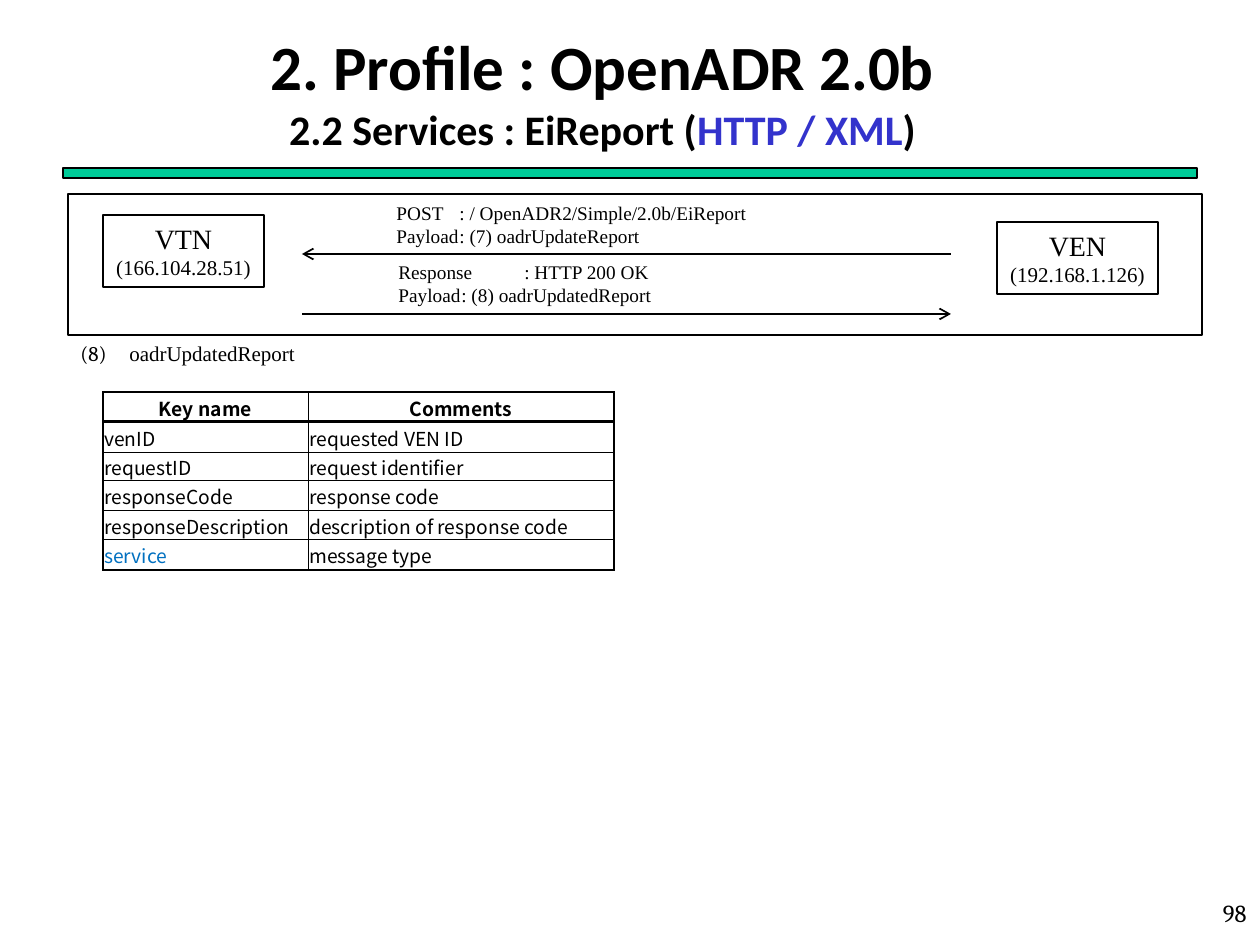
from lxml import etree
from pptx import Presentation
from pptx import util as u
from pptx.dml.color import RGBColor
from pptx.enum import shapes, text
from pptx.oxml import ns

PX = 914400 // 126  # one px in EMU
COLORS = {"ink": "000000", "paper": "FFFFFF", "rule": "00CC99",
          "accent": "3333CC", "service": "0070C0"}
SERIF, TABLE_FONT = "Times New Roman", "Noto Sans CJK KR"

# Content: a paragraph is a list of (text, format) runs
TITLE = [
    [("2. Profile : OpenADR 2.0b", {"size": 36})],
    [("2.2 Services : EiReport (", {}), ("HTTP / XML", {"color": "accent"}), (")", {})],
]
NODES = [  # name, address, left, top
    ("VTN", "(166.104.28.51)", 103, 215),
    ("VEN", "(192.168.1.126)", 997, 222),
]
MESSAGES = [  # lines, left, top, width
    (["POST\t: / OpenADR2/Simple/2.0b/EiReport", "Payload\t: (7) oadrUpdateReport"], 384, 195, 446),
    (["Response\t: HTTP 200 OK", "Payload\t: (8) oadrUpdatedReport"], 386, 254, 343),
]
ARROWS = [(302, 951, 254), (951, 302, 314)]  # head x, tail x, y
CAPTION = [[("(8)\t", {"font": "Cambria"}), ("oadrUpdatedReport", {})]]
CAPTION_TAB = 49
KEYS = [
    ("Key name", "Comments"),
    ("venID", "requested VEN ID"),
    ("requestID", "request identifier"),
    ("responseCode", "response code"),
    ("responseDescription", "description of response code"),
    ("service", "message type"),
]
COL_WIDTHS, ROW_HEIGHTS = (205, 306), (30, 30, 29, 30, 29, 30)


def px(*values):
    return [u.Emu(v * PX) for v in values]


def rgb(name):
    return RGBColor.from_string(COLORS[name])


def write(frame, paragraphs, size=12, font=SERIF, color="ink", bold=False,
          align="LEFT", anchor="TOP", wrap=True, tab=None):
    frame.word_wrap = wrap
    frame.vertical_anchor = text.MSO_ANCHOR[anchor]
    for i, runs in enumerate(paragraphs):
        para = frame.paragraphs[0] if i == 0 else frame.add_paragraph()
        para.alignment = text.PP_ALIGN[align]
        if tab:
            stops = etree.SubElement(para._p.get_or_add_pPr(), ns.qn("a:tabLst"))
            etree.SubElement(stops, ns.qn("a:tab"), pos=str(tab * PX), algn="l")
        for words, override in runs:
            look = {"size": size, "font": font, "color": color, **override}
            run = para.add_run()
            run.text = words
            run.font.size = u.Pt(look["size"])
            run.font.name = look["font"]
            run.font.bold = bold
            run.font.color.rgb = rgb(look["color"])


def add_text(box, paragraphs, **look):
    write(slide.shapes.add_textbox(*px(*box)).text_frame, paragraphs, **look)


def add_box(box, fill, line):
    shape = slide.shapes.add_shape(shapes.MSO_SHAPE.RECTANGLE, *px(*box))
    shape.shadow.inherit = False
    shape.fill.solid()
    shape.fill.fore_color.rgb = rgb(fill)
    shape.line.color.rgb = rgb("ink")
    shape.line.width = u.Pt(line)
    return shape


def add_arrow(head, tail, y):
    arrow = slide.shapes.add_connector(shapes.MSO_CONNECTOR.STRAIGHT, *px(head, y, tail, y))
    arrow.line.color.rgb = rgb("ink")
    arrow.line.width = u.Pt(1)
    etree.SubElement(arrow.line._get_or_add_ln(), ns.qn("a:headEnd"), type="arrow")
    etree.SubElement(arrow._element.spPr, ns.qn("a:effectLst"))


def set_borders(cell, widths):
    props = cell._tc.get_or_add_tcPr()
    for i, (side, width) in enumerate(zip("LRTB", widths)):
        line = etree.Element(ns.qn(f"a:ln{side}"), w=str(u.Pt(width)))
        fill = etree.SubElement(line, ns.qn("a:solidFill"))
        etree.SubElement(fill, ns.qn("a:srgbClr"), val=COLORS["ink"])
        props.insert(i, line)


prs = Presentation()
prs.slide_width, prs.slide_height = u.Inches(10), u.Inches(7.5)
slide = prs.slides.add_slide(prs.slide_layouts[6])

# Heading, rule and page number
add_box((63, 168, 1134, 10), "rule", 0.75)
add_text((4, 33, 1197, 116), TITLE, size=24, font="Calibri", bold=True,
         align="CENTER", anchor="MIDDLE")
add_text((997, 892, 262, 53), [[("98", {})]], size=14, font="Cambria", align="RIGHT")

# Message exchange
add_box((68, 194, 1134, 141), "paper", 1)
for name, address, left, top in NODES:
    node = add_box((left, top, 161, 72), "paper", 0.75)
    write(node.text_frame, [[(name, {"size": 16})], [(address, {})]],
          align="CENTER", wrap=False)
for arrow in ARROWS:
    add_arrow(*arrow)
for lines, left, top, width in MESSAGES:
    add_text((left, top, width, 59), [[(line, {})] for line in lines], size=11, wrap=False)

# Key table
add_text((68, 334, 871, 38), CAPTION, tab=CAPTION_TAB)
table = slide.shapes.add_table(
    len(KEYS), len(COL_WIDTHS), *px(103, 392, sum(COL_WIDTHS), sum(ROW_HEIGHTS))).table
for column, width in zip(table.columns, px(*COL_WIDTHS)):
    column.width = width
for row, height in zip(table.rows, px(*ROW_HEIGHTS)):
    row.height = height
row_lines = [1, 2] + [0.5] * (len(KEYS) - 2) + [1]
col_lines = [1, 0.5, 1]
for r, entry in enumerate(KEYS):
    for c, words in enumerate(entry):
        cell = table.cell(r, c)
        cell.fill.solid()
        cell.fill.fore_color.rgb = rgb("paper")
        cell.margin_left = cell.margin_right = cell.margin_top = u.Inches(0.01)
        cell.margin_bottom = 0
        cell.vertical_anchor = text.MSO_ANCHOR.MIDDLE
        write(cell.text_frame, [[(words, {})]], size=11, font=TABLE_FONT, bold=r == 0,
              color="service" if words == "service" else "ink",
              align="CENTER" if r == 0 else "LEFT", anchor="MIDDLE")
        set_borders(cell, col_lines[c:c + 2] + row_lines[r:r + 2])

prs.save("out.pptx")
